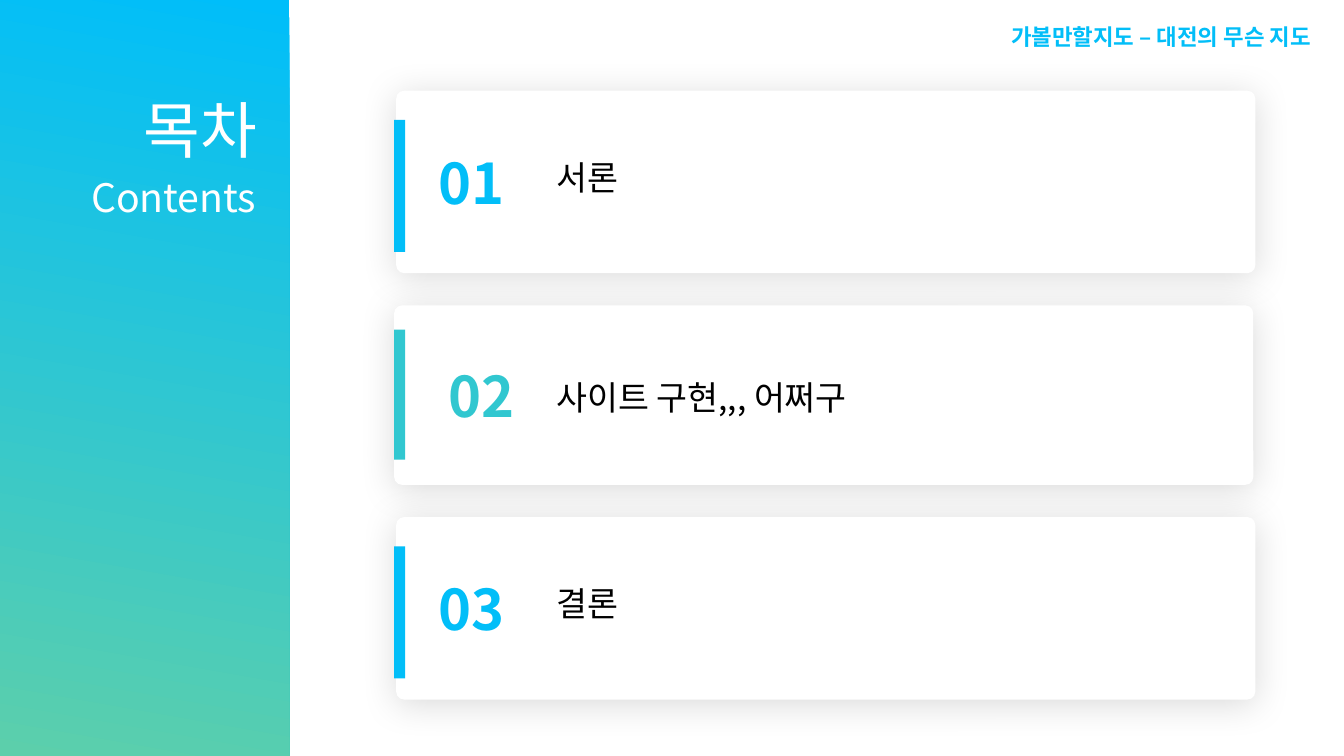
from lxml.etree import SubElement
from pptx import Presentation
from pptx.dml.color import RGBColor
from pptx.enum.shapes import MSO_SHAPE
from pptx.enum.text import MSO_ANCHOR, PP_ALIGN
from pptx.oxml.ns import qn
from pptx.util import Inches, Pt

FONT = "Noto Sans CJK KR"
WHITE = RGBColor(0xFF, 0xFF, 0xFF)
BLACK = RGBColor(0, 0, 0)
BLUE = RGBColor(0x02, 0xBE, 0xF8)
TEAL = RGBColor(0x31, 0xC7, 0xD0)
SKY = RGBColor(0x00, 0xBE, 0xFA)
GREEN = RGBColor(0x5C, 0xCF, 0xAB)

# number, label, colour, then places: card, bar, number, label
ITEMS = [
    ("01", "서론", BLUE, (3.93, 0.9, 8.52, 1.81), (3.91, 1.19, 0.11, 1.31),
     (3.92, 1.3, 1.51, 1.01), (5.42, 1.55, 6.26, 0.51)),
    ("02", "사이트 구현,,, 어쩌구", TEAL, (3.91, 3.03, 8.52, 1.78), (3.91, 3.27, 0.11, 1.29),
     (4.02, 3.42, 1.51, 0.99), (5.42, 3.74, 6.26, 0.57)),
    ("03", "결론", BLUE, (3.93, 5.13, 8.52, 1.81), (3.91, 5.42, 0.11, 1.31),
     (3.92, 5.53, 1.51, 1.01), (5.42, 5.78, 6.26, 0.51)),
]


def write(shape, text, size=24, color=BLACK, bold=False, align=PP_ALIGN.LEFT,
          anchor=MSO_ANCHOR.TOP, space=None):
    frame = shape.text_frame
    frame.word_wrap = True
    frame.vertical_anchor = anchor
    para = frame.paragraphs[0]
    para.alignment = align
    para.line_spacing = space
    run = para.add_run()
    run.text = text
    font = run.font
    font.size, font.bold, font.name = Pt(size), bold, FONT
    font.color.rgb = color
    SubElement(font._element, qn("a:ea"), typeface=FONT)


def add_text(slide, box, text, **style):
    write(slide.shapes.add_textbox(*map(Inches, box)), text, **style)


def add_shape(slide, kind, box, color=None):
    shape = slide.shapes.add_shape(kind, *map(Inches, box))
    shape.shadow.inherit = False
    shape.line.fill.background()
    if color is None:
        shape.fill.background()
    else:
        shape.fill.solid()
        shape.fill.fore_color.rgb = color
    return shape


def add_card(slide, box):
    card = add_shape(slide, MSO_SHAPE.ROUNDED_RECTANGLE, box, WHITE)
    card.adjustments[0] = 0.043
    # Soft shadow below the card
    effect = card.element.spPr.find(qn("a:effectLst"))
    glow = SubElement(effect, qn("a:outerShdw"), blurRad=str(Pt(26)),
                      dist=str(Pt(3)), dir="5400000", algn="t", rotWithShape="0")
    tint = SubElement(glow, qn("a:srgbClr"), val="000000")
    SubElement(tint, qn("a:alpha"), val="14000")


def add_item(slide, num, label, color, card, bar, spot, place):
    add_card(slide, card)
    add_shape(slide, MSO_SHAPE.RECTANGLE, bar, color)
    oval = add_shape(slide, MSO_SHAPE.OVAL, spot)
    write(oval, num, size=40, color=color, bold=True,
          align=PP_ALIGN.CENTER, anchor=MSO_ANCHOR.MIDDLE)
    add_text(slide, place, label, space=0.9)


def add_panel(slide):
    panel = add_shape(slide, MSO_SHAPE.RECTANGLE, (0, 0, 2.87, 7.5), SKY)
    panel.fill.gradient()
    panel.fill.gradient_angle = 260
    for stop, color in zip(panel.fill.gradient_stops, (SKY, GREEN)):
        stop.color.rgb = color


def set_title(slide, box, text, **style):
    title = slide.shapes.title
    title.left, title.top, title.width, title.height = map(Inches, box)
    write(title, text, **style)
    # Bring the title in front of the panel
    slide.shapes.element.append(title.element)


def main():
    deck = Presentation()
    deck.slide_width, deck.slide_height = Inches(13.33), Inches(7.5)
    slide = deck.slides.add_slide(deck.slide_layouts[5])

    # Side panel with title
    add_panel(slide)
    side = dict(color=WHITE, align=PP_ALIGN.RIGHT, anchor=MSO_ANCHOR.MIDDLE, space=0.9)
    set_title(slide, (0.91, 0.6, 1.74, 1.45), "목차", size=44, **side)
    add_text(slide, (-0.66, 1.26, 3.3, 1.45), "Contents", size=28, **side)

    # Header
    add_text(slide, (8.93, 0.18, 4.17, 0.37), "가볼만할지도 – 대전의 무슨 지도",
             size=16, color=BLUE, bold=True, align=PP_ALIGN.RIGHT)

    # Contents cards
    for item in ITEMS:
        add_item(slide, *item)

    deck.save("out.pptx")


if __name__ == "__main__":
    main()
